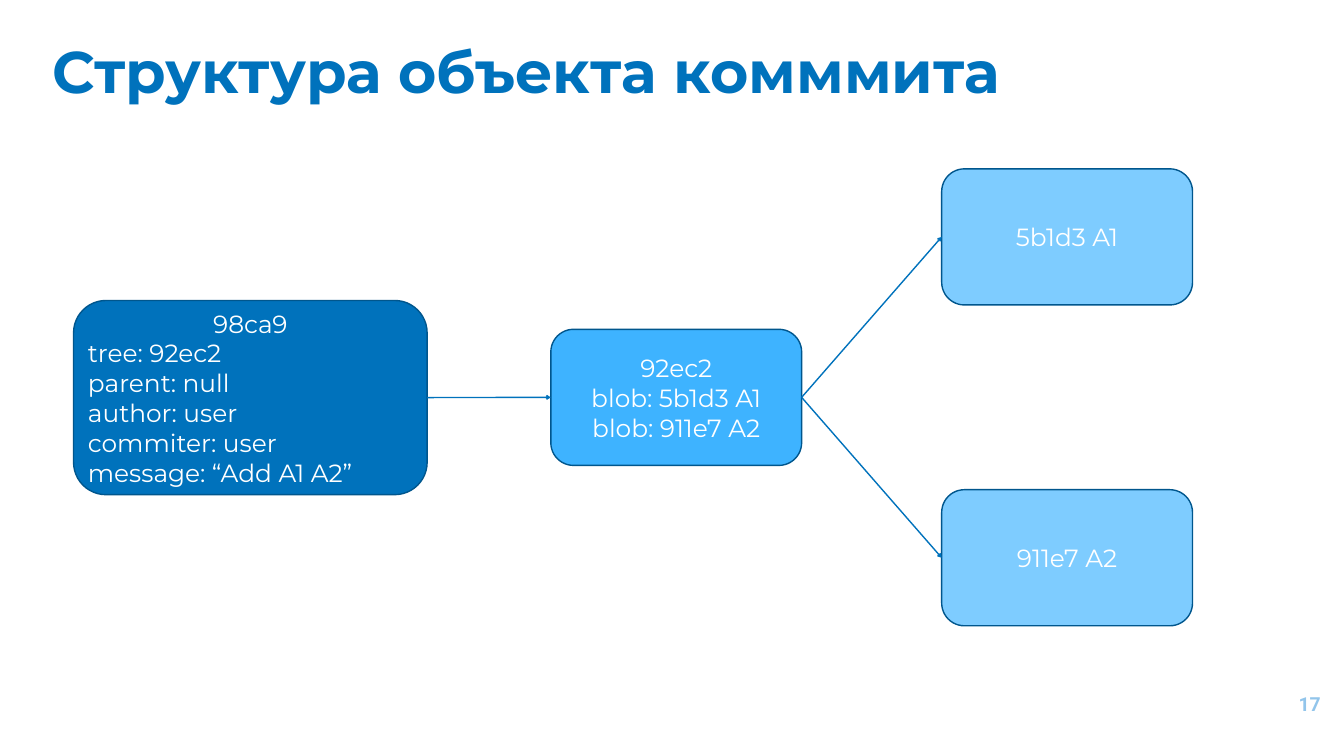
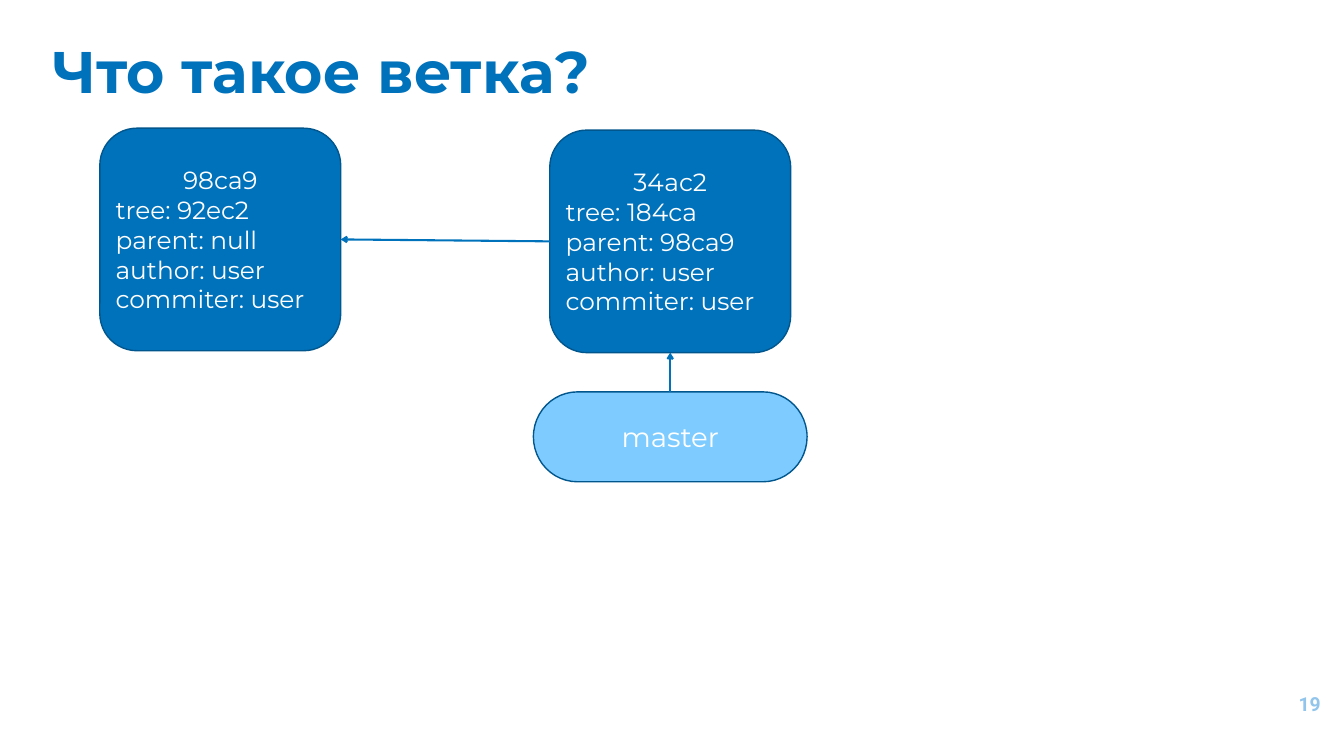
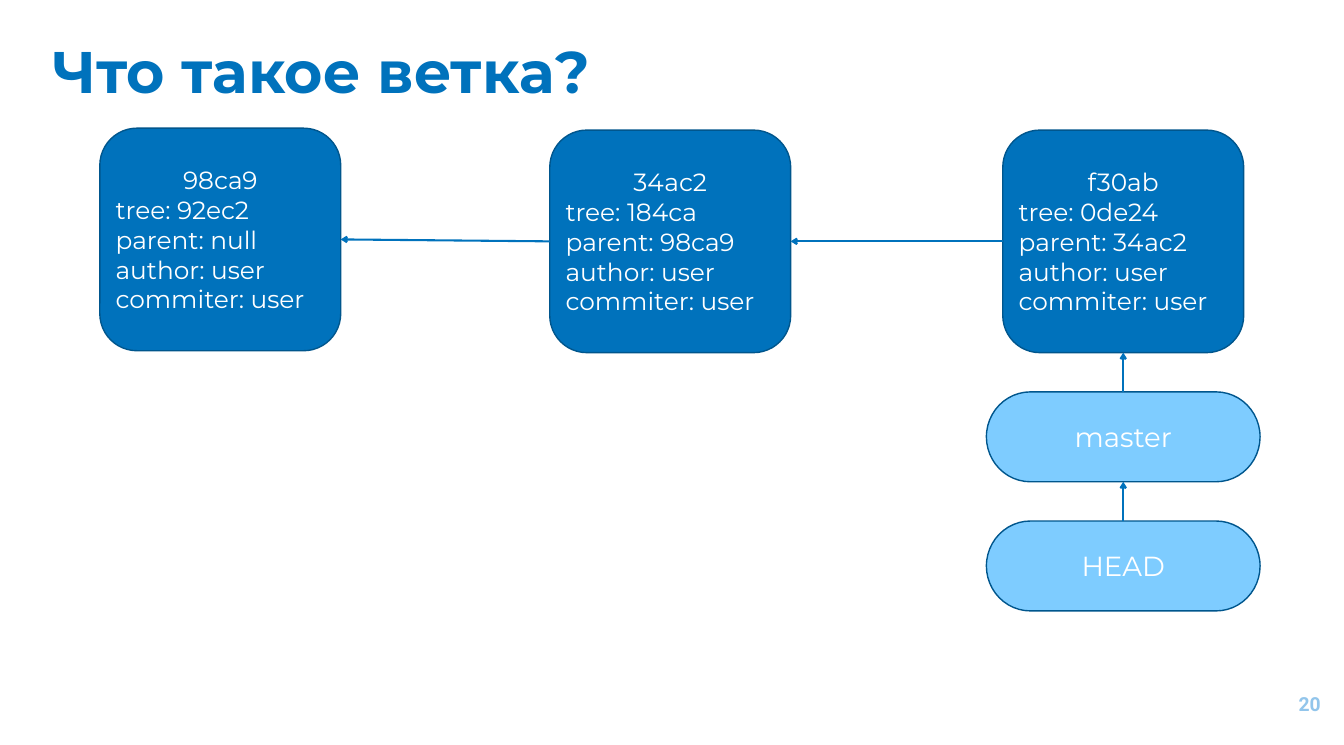
"""Build three slides on commit objects and branches."""
from dataclasses import dataclass

from lxml import etree
from pptx import Presentation
from pptx.dml.color import RGBColor
from pptx.enum.shapes import MSO_CONNECTOR, MSO_SHAPE
from pptx.enum.text import MSO_ANCHOR, PP_ALIGN
from pptx.oxml.ns import qn
from pptx.util import Pt

LEFT, CENTER, RIGHT = PP_ALIGN.LEFT, PP_ALIGN.CENTER, PP_ALIGN.RIGHT
TOP, MIDDLE = MSO_ANCHOR.TOP, MSO_ANCHOR.MIDDLE
ROUNDED_BOX = MSO_SHAPE.FLOWCHART_ALTERNATE_PROCESS
PILL = MSO_SHAPE.FLOWCHART_TERMINATOR
STRAIGHT = MSO_CONNECTOR.STRAIGHT
TOP_SITE, LEFT_SITE, BOTTOM_SITE, RIGHT_SITE = range(4)

BLANK_LAYOUT = 6
COMMIT_SIZE = (349.2, 322.6)
OBJECT_SIZE = (363.6, 197.3)
POINTER_SIZE = (396.7, 130.3)
POINTER_GAP = 56.9


@dataclass(frozen=True)
class Theme:
    primary: str = "0072BC"
    outline: str = "00568D"
    tree: str = "3EB3FF"
    light: str = "7ECCFF"
    number: str = "92C5EB"
    white: str = "FFFFFF"
    font: str = "Montserrat"
    number_font: str = "Roboto"
    title_size: int = 85
    pointer_size: int = 40
    body_size: int = 36
    number_size: int = 28
    line_width: int = 2
    inset: float = 7.2


def write_text(frame, text, *, font, size, color, bold=False, first_alignment=LEFT,
               alignment=LEFT, anchor=MIDDLE):
    frame.word_wrap = True
    frame.vertical_anchor = anchor
    for index, line in enumerate(text.split("\n")):
        paragraph = frame.paragraphs[0] if index == 0 else frame.add_paragraph()
        paragraph.alignment = alignment if index else first_alignment
        run = paragraph.add_run()
        run.text = line
        run.font.name = font
        run.font.size = Pt(size)
        run.font.bold = bold
        run.font.color.rgb = RGBColor.from_string(color)


class Deck:
    def __init__(self, theme):
        self.theme = theme
        self.presentation = Presentation()
        self.presentation.slide_width = Pt(1948.32)
        self.presentation.slide_height = Pt(1080)
        self.slide = None

    def start_slide(self, title, number, title_width):
        theme = self.theme
        layout = self.presentation.slide_layouts[BLANK_LAYOUT]
        self.slide = self.presentation.slides.add_slide(layout)
        self.text_box(title, 69.1, 43.9, title_width, 138.2, font=theme.font,
                      size=theme.title_size, color=theme.primary, bold=True, anchor=TOP)
        self.text_box(str(number), 1805, 979.2, 116.6, 82.8, font=theme.number_font,
                      size=theme.number_size, color=theme.number, bold=True,
                      first_alignment=RIGHT)

    def text_box(self, text, left, top, width, height, **text_format):
        box = self.slide.shapes.add_textbox(Pt(left), Pt(top), Pt(width), Pt(height))
        frame = box.text_frame
        frame.margin_left = frame.margin_right = Pt(self.theme.inset)
        frame.margin_top = frame.margin_bottom = Pt(self.theme.inset)
        write_text(frame, text, **text_format)

    def node(self, kind, text, left, top, size, fill, text_size, alignment=CENTER):
        width, height = size
        shape = self.slide.shapes.add_shape(kind, Pt(left), Pt(top), Pt(width), Pt(height))
        shape.shadow.inherit = False
        shape.fill.solid()
        shape.fill.fore_color.rgb = RGBColor.from_string(fill)
        shape.line.color.rgb = RGBColor.from_string(self.theme.outline)
        shape.line.width = Pt(self.theme.line_width)
        write_text(shape.text_frame, text, font=self.theme.font, size=text_size,
                   color=self.theme.white, first_alignment=CENTER, alignment=alignment)
        return shape

    def commit(self, text, left, top, size=COMMIT_SIZE):
        return self.node(ROUNDED_BOX, text, left, top, size, self.theme.primary,
                         self.theme.body_size, LEFT)

    def stored_object(self, text, left, top, fill):
        return self.node(ROUNDED_BOX, text, left, top, OBJECT_SIZE, fill,
                         self.theme.body_size)

    def pointer(self, text, target):
        left = target.left.pt + (target.width.pt - POINTER_SIZE[0]) / 2
        top = target.top.pt + target.height.pt + POINTER_GAP
        shape = self.node(PILL, text, left, top, POINTER_SIZE, self.theme.light,
                          self.theme.pointer_size)
        self.arrow(shape, TOP_SITE, target, BOTTOM_SITE, 3)
        return shape

    def arrow(self, source, source_site, target, target_site, width):
        connector = self.slide.shapes.add_connector(STRAIGHT, 0, 0, 0, 0)
        connector.begin_connect(source, source_site)
        connector.end_connect(target, target_site)
        connector.line.color.rgb = RGBColor.from_string(self.theme.primary)
        connector.line.width = Pt(width)
        etree.SubElement(connector.line._get_or_add_ln(), qn("a:tailEnd"), type="arrow")
        etree.SubElement(connector._element.spPr, qn("a:effectLst"))

    def commit_chain(self, commits):
        previous = None
        for name, tree, parent, left, top in commits:
            text = f"{name}\ntree: {tree}\nparent: {parent}\nauthor: user\ncommiter: user"
            commit = self.commit(text, left, top)
            if previous is not None:
                self.arrow(commit, LEFT_SITE, previous, RIGHT_SITE, 3)
            previous = commit
        return previous


def build_commit_structure(deck):
    theme = deck.theme
    deck.start_slide("Структура объекта комммита", 17, 1656.7)
    commit = deck.commit("98ca9\ntree: 92ec2\nparent: null\nauthor: user\n"
                         "commiter: user\nmessage: “Add A1 A2”", 106.6, 435.6, (512.6, 281.5))
    tree = deck.stored_object("92ec2\nblob: 5b1d3 A1\nblob: 911e7 A2", 798.5, 477.4, theme.tree)
    deck.arrow(commit, RIGHT_SITE, tree, LEFT_SITE, theme.line_width)
    for text, top in (("5b1d3 A1", 244.8), ("911e7 A2", 709.9)):
        blob = deck.stored_object(text, 1365.1, top, theme.light)
        deck.arrow(tree, RIGHT_SITE, blob, LEFT_SITE, theme.line_width)


def build_branch(deck, number, commits, pointers):
    deck.start_slide("Что такое ветка?", number, 1252.1)
    target = deck.commit_chain(commits)
    for name in pointers:
        target = deck.pointer(name, target)


def main():
    commits = [
        ("98ca9", "92ec2", "null", 144.7, 185.8),
        ("34ac2", "184ca", "98ca9", 797, 188.6),
        ("f30ab", "0de24", "34ac2", 1453.7, 188.6),
    ]
    deck = Deck(Theme())
    build_commit_structure(deck)
    build_branch(deck, 19, commits[:2], ["master"])
    build_branch(deck, 20, commits, ["master", "HEAD"])
    deck.presentation.save("out.pptx")


if __name__ == "__main__":
    main()
